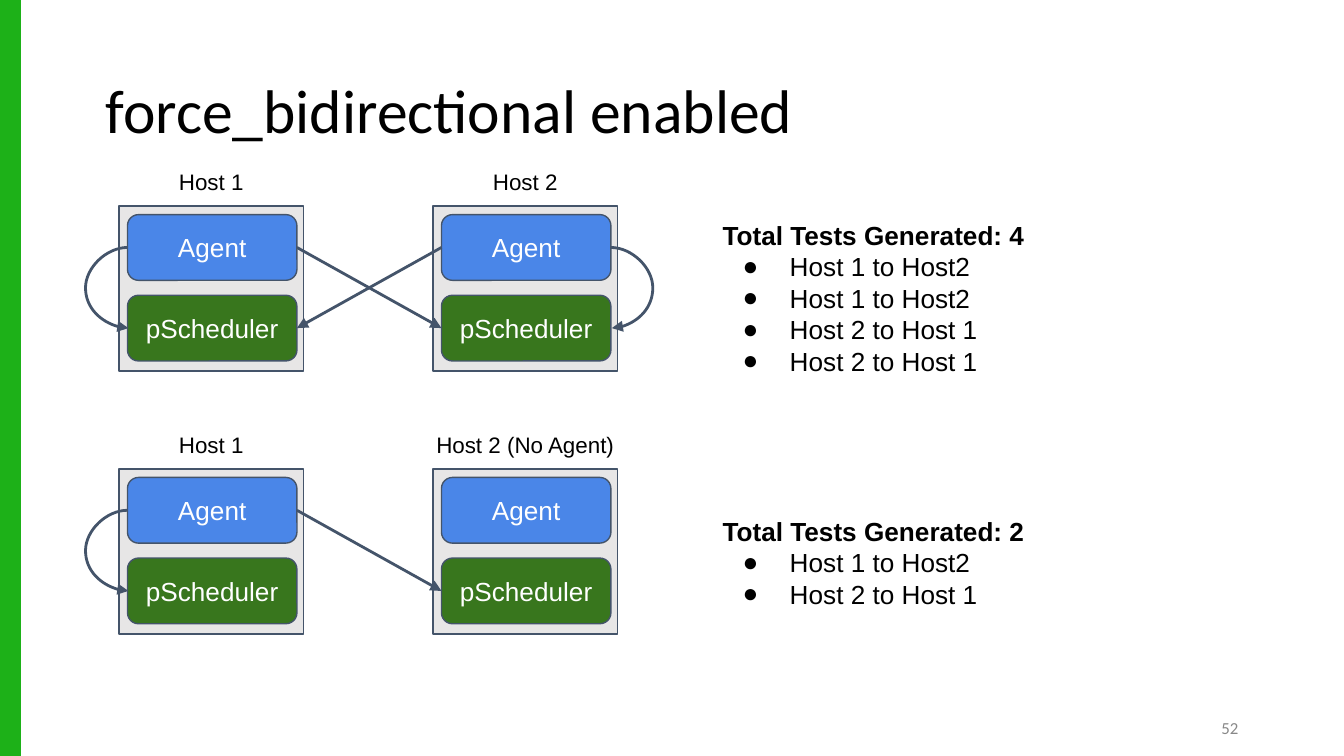
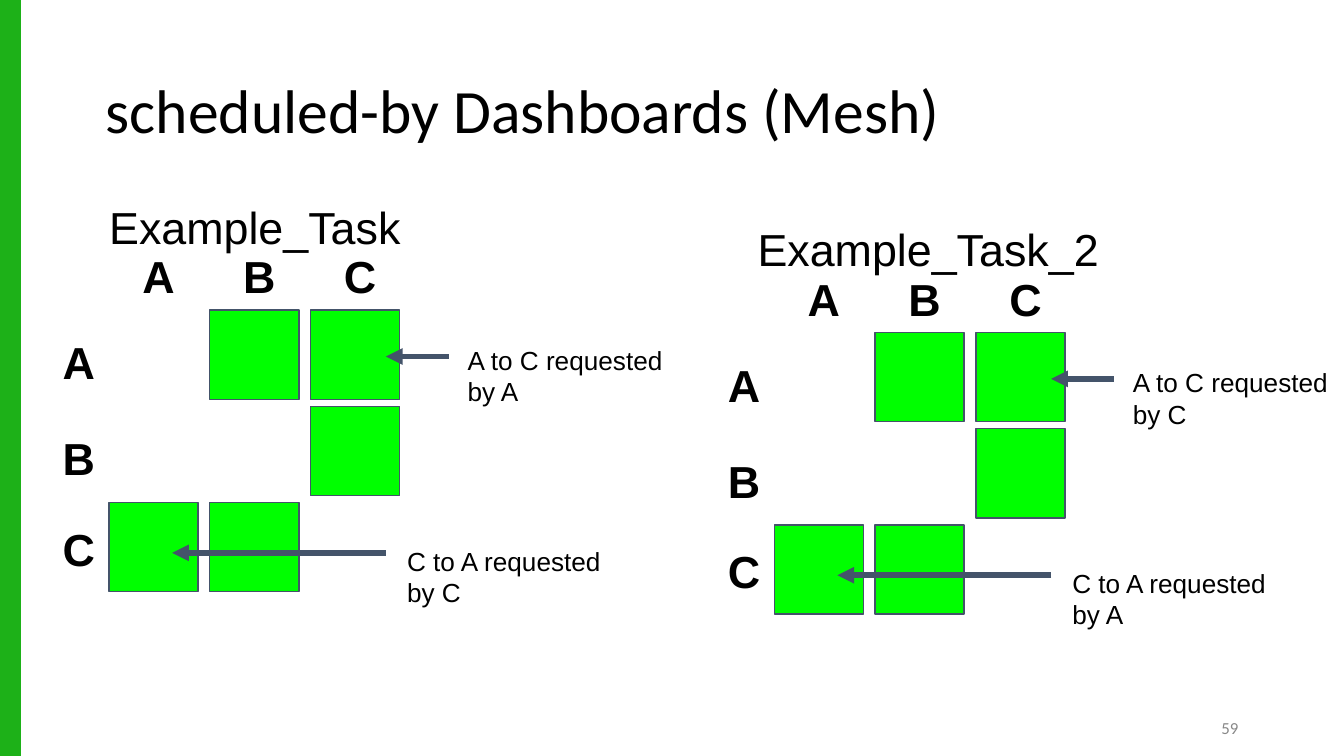
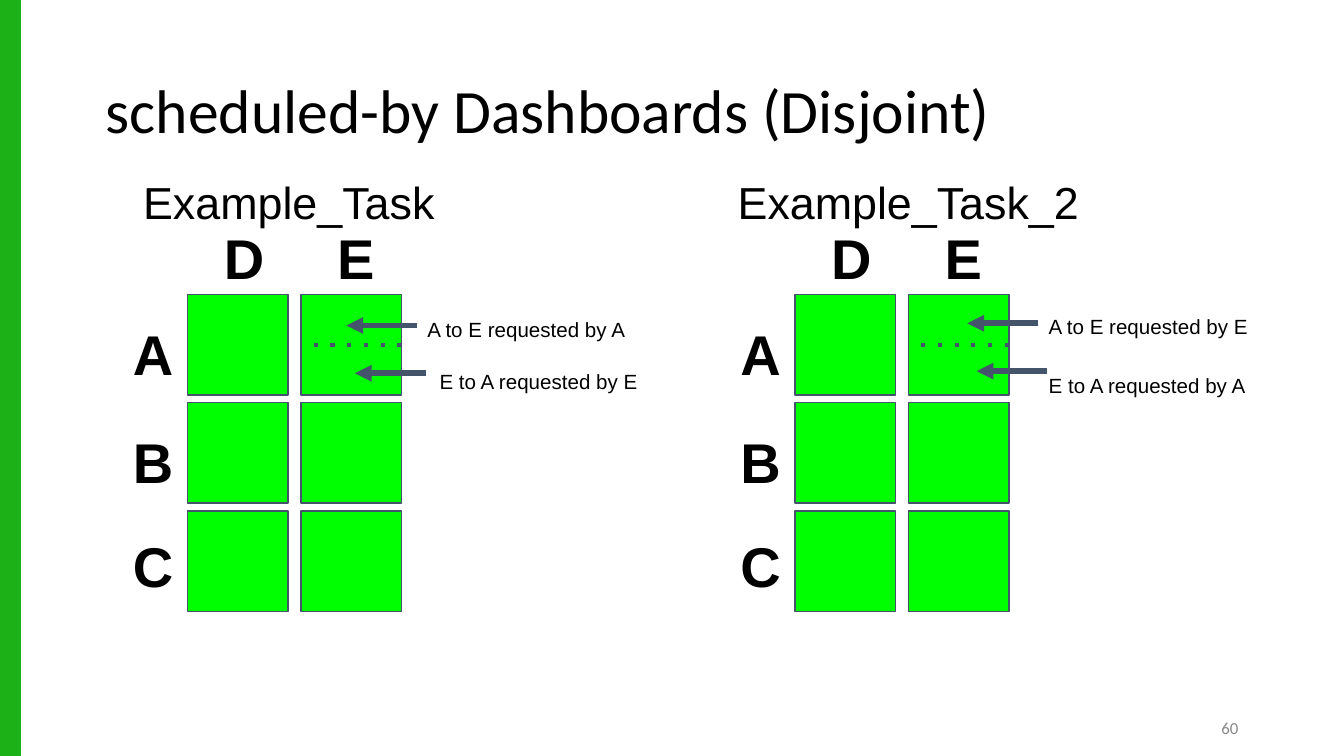
"""Build three slides on bidirectional tests and scheduled-by dashboards."""
from lxml.etree import SubElement
from pptx import Presentation
from pptx.dml.color import RGBColor
from pptx.enum.shapes import MSO_CONNECTOR, MSO_SHAPE
from pptx.enum.text import MSO_ANCHOR, PP_ALIGN
from pptx.oxml.ns import qn
from pptx.util import Pt

GREEN, SLATE, PANEL, CELL = "1DB118", "44546A", "E7E6E6", "00FF00"
BLUE, FOREST, GREY, BLACK, WHITE = "4A86E8", "38761D", "888888", "000000", "FFFFFF"
WIDTH, HEIGHT = 720, 405
LEFT, RIGHT = 1, 3

HOSTS = {
    "title": "force_bidirectional enabled",
    "number": "52",
    "rows": [
        {"top": 110.4, "labels": [("Host 1", 58), ("Host 2", 58)],
         "links": [(0, 0), (1, 1), (0, 1), (1, 0)],
         "box": (380, 110.4, 232, 88.6), "heading": "Total Tests Generated: 4",
         "tests": ["Host 1 to Host2", "Host 1 to Host2", "Host 2 to Host 1", "Host 2 to Host 1"]},
        {"top": 251.2, "labels": [("Host 1", 58), ("Host 2 (No Agent)", 140)],
         "links": [(0, 0), (0, 1)],
         "box": (380, 268.8, 222, 53), "heading": "Total Tests Generated: 2",
         "tests": ["Host 1 to Host2", "Host 2 to Host 1"]},
    ],
}
PANEL_X, PANEL_W, PANEL_H = (63.8, 232), 98.8, 88.5
BOX_W, BOX_H, BOX_STEP = 90.8, 35.2, 43.2
LOOP_W, LOOP_BULGE = 0.5, 22

DASHBOARDS = [
    {"title": "scheduled-by Dashboards (Mesh)", "number": "59",
     "columns": "ABC", "rows": "ABC", "cells": [" ##", "  #", "## "],
     "cell": 47.8, "step": (54, 51.5), "label_size": 24, "label_box": (26, 36),
     "column_shift": (10.8, -40), "row_x": -31.9, "row_shifts": (6, 6, 3),
     "note_size": 14, "note_box": (136, 17), "split": None,
     "grids": [
         {"at": (58.4, 166.2), "name": "Example_Task", "name_box": (39, 100, 195, 35),
          "notes": [("A to C requested by A", 185, 11, 182, 148.3, 24.8),
                    ("C to A requested by C", 152.6, 118.6, 148.3, 33.8, 130)]},
         {"at": (414.8, 178.2), "name": "Example_Task_2", "name_box": (395, 111.8, 204.5, 35),
          "notes": [("A to C requested by C", 185, 11, 182, 148.3, 24.8),
                    ("C to A requested by A", 152.6, 118.6, 148.3, 33.8, 130)]},
     ]},
    {"title": "scheduled-by Dashboards (Disjoint)", "number": "60",
     "columns": "DE", "rows": "ABC", "cells": ["##", "##", "##"],
     "cell": 53.8, "step": (60.7, 58), "label_size": 30, "label_box": (29.5, 41),
     "column_shift": (12.2, -45.4), "row_x": -36.5, "row_shifts": (6.3, 6.3, 3.6),
     "note_size": 11, "note_box": (154, 19), "split": (0, 1),
     "grids": [
         {"at": (100.6, 157.8), "name": "Example_Task", "name_box": (57.2, 86.2, 195, 35),
          "notes": [("A to E requested by A", 121.2, 5.4, 122.7, 85, 16.6),
                    ("E to A requested by E", 127.8, 33, 127.5, 89.5, 42.2)]},
         {"at": (426, 157.8), "name": "Example_Task_2", "name_box": (382.6, 86.2, 208, 35),
          "notes": [("A to E requested by E", 128.7, 3.9, 130.3, 92.2, 15.4),
                    ("E to A requested by A", 128.7, 35.6, 135, 97.2, 41)]},
     ]},
]


def rgb(color):
    return RGBColor.from_string(color)


def write(tf, text, size=14, color=BLACK, font="Arial", bold=False,
          align=PP_ALIGN.LEFT, spacing=None, bullet=None):
    p = tf.add_paragraph() if tf.text else tf.paragraphs[0]
    p.alignment = align
    if spacing:
        p.line_spacing = spacing
    if bullet:
        pPr = p._p.get_or_add_pPr()
        pPr.set("marL", str(Pt(36)))
        pPr.set("indent", str(-Pt(25.2)))
        SubElement(SubElement(pPr, qn("a:buClr")), qn("a:srgbClr"), val=color)
        SubElement(pPr, qn("a:buFont"), typeface=font)
        SubElement(pPr, qn("a:buChar"), char=bullet)
    r = p.add_run()
    r.text = text
    r.font.name, r.font.size, r.font.bold = font, Pt(size), bold
    r.font.color.rgb = rgb(color)


def set_frame(tf, anchor, inset_y=7.2):
    tf.word_wrap = True
    tf.vertical_anchor = anchor
    tf.margin_left = tf.margin_right = Pt(7.2)
    tf.margin_top = tf.margin_bottom = Pt(inset_y)


def add_text(s, box, text, anchor=MSO_ANCHOR.TOP, inset_y=7.2, **fmt):
    tf = s.shapes.add_textbox(*map(Pt, box)).text_frame
    set_frame(tf, anchor, inset_y)
    write(tf, text, **fmt)
    return tf


def add_box(s, box, fill, line=SLATE, kind=MSO_SHAPE.RECTANGLE, text=None):
    sp = s.shapes.add_shape(kind, *map(Pt, box))
    sp.shadow.inherit = False
    sp.fill.solid()
    sp.fill.fore_color.rgb = rgb(fill)
    sp.line.color.rgb = rgb(line)
    sp.line.width = Pt(0.75)
    if text:
        set_frame(sp.text_frame, MSO_ANCHOR.MIDDLE)
        write(sp.text_frame, text, color=WHITE, align=PP_ALIGN.CENTER)
    return sp


def add_line(s, ends, width=3, kind=MSO_CONNECTOR.STRAIGHT, dash=None, arrow=True):
    c = s.shapes.add_connector(kind, *map(Pt, ends))
    c.line.color.rgb = rgb(SLATE)
    c.line.width = Pt(width)
    spPr = c.element.spPr
    ln = spPr.find(qn("a:ln"))
    if dash:
        SubElement(ln, qn("a:prstDash"), val=dash)
    if arrow:
        SubElement(ln, qn("a:tailEnd"), type="triangle")
    SubElement(spPr, qn("a:effectLst"))
    return c


def side_point(sp, side):
    x = sp.left if side == LEFT else sp.left + sp.width
    return x / Pt(1), (sp.top + sp.height / 2) / Pt(1)


def add_link(s, agent, scheduler, begin_side, end_side):
    x1, y1 = side_point(agent, begin_side)
    x2, y2 = side_point(scheduler, end_side)
    loop = begin_side == end_side
    kind = MSO_CONNECTOR.CURVE if loop else MSO_CONNECTOR.STRAIGHT
    c = add_line(s, (x1, y1, x2 + LOOP_W * loop, y2), width=1.5, kind=kind)
    c.begin_connect(agent, begin_side)
    c.end_connect(scheduler, end_side)
    if loop:
        c.width = Pt(LOOP_W)
        bulge = -LOOP_BULGE if begin_side == LEFT else LOOP_BULGE
        avLst = c.element.spPr.find(qn("a:prstGeom")).get_or_add_avLst()
        SubElement(avLst, qn("a:gd"), name="adj1", fmla=f"val {int(bulge / LOOP_W * 100000)}")


def add_slide(prs, title, number):
    s = prs.slides.add_slide(prs.slide_layouts[5])
    sp = s.shapes.title
    sp.left, sp.top, sp.width, sp.height = map(Pt, (49.5, 21.6, 621, 78.3))
    set_frame(sp.text_frame, MSO_ANCHOR.MIDDLE)
    write(sp.text_frame, title, size=33, font="Calibri", spacing=0.9)
    add_text(s, (508.5, 379, 162, 21.6), number, anchor=MSO_ANCHOR.MIDDLE, inset_y=3.6,
             size=9, font="Calibri", color=GREY, align=PP_ALIGN.RIGHT)
    return s


def add_band(prs, s):
    band = add_box(s, (0, 0, 11, HEIGHT), GREEN, line=GREEN)
    prs.slide_layouts[5].shapes.element.insert(2, band.element)


def add_host_row(s, row):
    agents, schedulers = [], []
    top = row["top"]
    for x, (label, width) in zip(PANEL_X, row["labels"]):
        add_box(s, (x, top, PANEL_W, PANEL_H), PANEL)
        for i, (group, name, fill) in enumerate([(agents, "Agent", BLUE),
                                                 (schedulers, "pScheduler", FOREST)]):
            box = (x + 4.5, top + 4.6 + i * BOX_STEP, BOX_W, BOX_H)
            group.append(add_box(s, box, fill, kind=MSO_SHAPE.ROUNDED_RECTANGLE, text=name))
        add_text(s, (x + (PANEL_W - width) / 2, top - 27.4, width, 24.5), label,
                 size=12, align=PP_ALIGN.CENTER)
    for start, end in row["links"]:
        outer, inner = (LEFT, RIGHT) if start == 0 else (RIGHT, LEFT)
        sides = (outer, outer) if start == end else (inner, outer)
        add_link(s, agents[start], schedulers[end], *sides)
    tf = add_text(s, row["box"], row["heading"], bold=True)
    for test in row["tests"]:
        write(tf, test, bullet="●")


def add_grid(s, board, grid):
    x0, y0 = grid["at"]
    dx, dy = board["step"]
    size = board["cell"]
    label = {"size": board["label_size"], "bold": True}
    for i, marks in enumerate(board["cells"]):
        for j, mark in enumerate(marks):
            if mark == "#":
                add_box(s, (x0 + j * dx, y0 + i * dy, size, size), CELL)
    for i, (name, shift) in enumerate(zip(board["rows"], board["row_shifts"])):
        add_text(s, (x0 + board["row_x"], y0 + i * dy + shift, *board["label_box"]), name, **label)
    shift_x, shift_y = board["column_shift"]
    for j, name in enumerate(board["columns"]):
        add_text(s, (x0 + j * dx + shift_x, y0 + shift_y, *board["label_box"]), name, **label)
    add_text(s, grid["name_box"], grid["name"], size=24, align=PP_ALIGN.CENTER)
    if board["split"]:
        i, j = board["split"]
        x, y = x0 + j * dx, y0 + i * dy + size / 2
        add_line(s, (x + size, y, x, y), width=2.25, dash="dot", arrow=False)
    for text, tx, ty, start, end, y in grid["notes"]:
        add_line(s, (x0 + start, y0 + y, x0 + end, y0 + y))
        add_text(s, (x0 + tx, y0 + ty, *board["note_box"]), text, size=board["note_size"])


def main():
    prs = Presentation()
    prs.slide_width, prs.slide_height = Pt(WIDTH), Pt(HEIGHT)
    s = add_slide(prs, HOSTS["title"], HOSTS["number"])
    add_band(prs, s)
    for row in HOSTS["rows"]:
        add_host_row(s, row)
    for board in DASHBOARDS:
        s = add_slide(prs, board["title"], board["number"])
        for grid in board["grids"]:
            add_grid(s, board, grid)
    prs.save("out.pptx")


if __name__ == "__main__":
    main()
